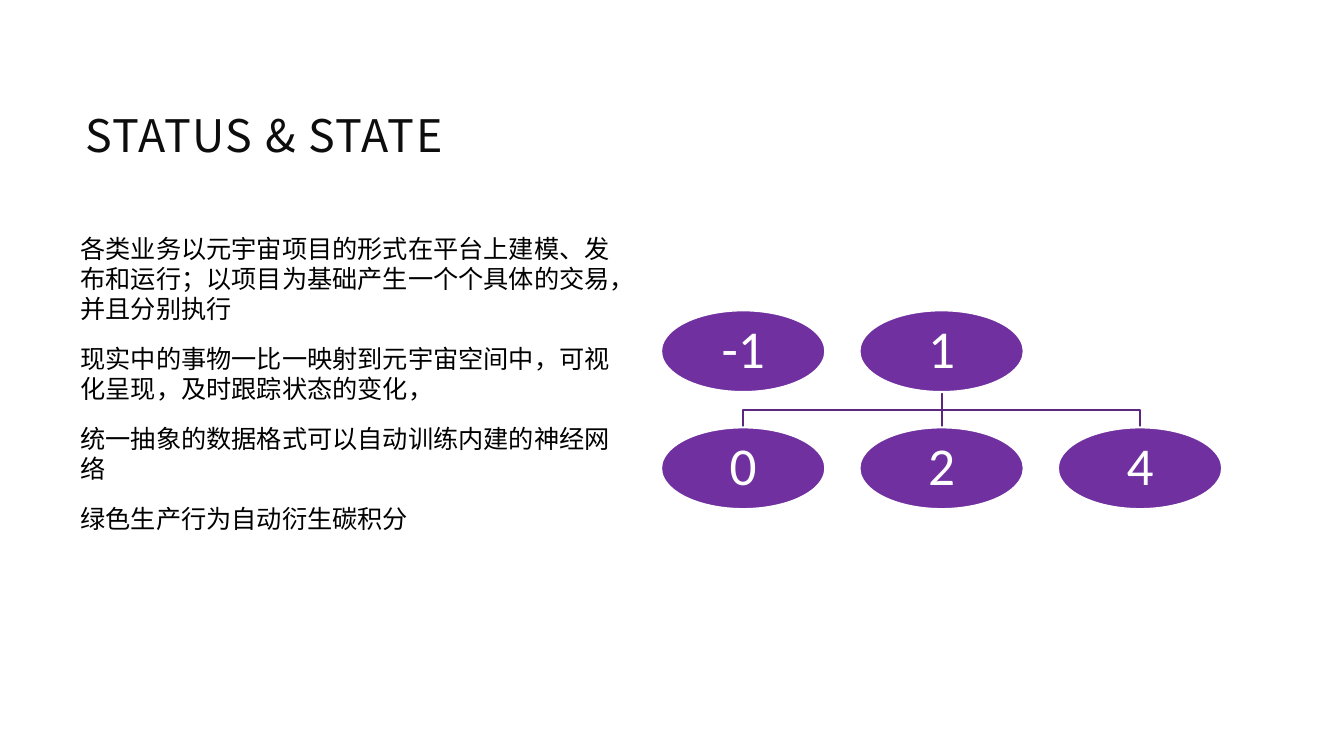
import pptx
import pptx.util
import pptx.dml.color
import pptx.enum.shapes
import pptx.enum.text
import pptx.oxml.ns
from pptx.util import Cm

BLACK = pptx.dml.color.RGBColor(0x00, 0x00, 0x00)
TITLE_GRAY = pptx.dml.color.RGBColor(0x0D, 0x0D, 0x0D)
WHITE = pptx.dml.color.RGBColor(0xFF, 0xFF, 0xFF)
PURPLE = pptx.dml.color.RGBColor(0x70, 0x30, 0xA0)
DARK_PURPLE = pptx.dml.color.RGBColor(0x5A, 0x26, 0x80)
CJK_FONT = "Noto Sans CJK SC"


def write_text(shape, text, *, size, color, font=CJK_FONT, margin=0.13, line_spacing=1.0,
               before=0, after=0, letter_spacing=0,
               align=pptx.enum.text.PP_ALIGN.LEFT, anchor=pptx.enum.text.MSO_ANCHOR.TOP):
    frame = shape.text_frame
    frame.word_wrap = True
    frame.vertical_anchor = anchor
    frame.margin_left = frame.margin_right = Cm(margin)
    frame.margin_top = frame.margin_bottom = Cm(margin)
    frame.text = text
    for paragraph in frame.paragraphs:
        paragraph.alignment = align
        paragraph.line_spacing = line_spacing
        paragraph.space_before = pptx.util.Pt(before)
        paragraph.space_after = pptx.util.Pt(after)
        run = paragraph.runs[0]
        run.font.name = font
        run.font.size = pptx.util.Pt(size)
        run.font.color.rgb = color
        properties = run.font._element
        if letter_spacing:
            properties.set("spc", str(letter_spacing * 100))
        east_asian = properties.makeelement(pptx.oxml.ns.qn("a:ea"), {"typeface": font})
        properties.find(pptx.oxml.ns.qn("a:latin")).addnext(east_asian)


presentation = pptx.Presentation()
presentation.slide_width = Cm(33.87)
presentation.slide_height = Cm(19.05)
slide = presentation.slides.add_slide(presentation.slide_layouts[6])
shapes = slide.shapes

# Title
title = shapes.add_textbox(Cm(1.9), Cm(1.9), Cm(28.88), Cm(3.23))
write_text(title, "STATUS & STATE", size=32, color=TITLE_GRAY, margin=0.25, line_spacing=0.8,
           letter_spacing=1, anchor=pptx.enum.text.MSO_ANCHOR.MIDDLE)

# Body paragraphs
body_paragraphs = [
    "各类业务以元宇宙项目的形式在平台上建模、发布和运行；以项目为基础产生一个个具体的交易，并且分别执行",
    "现实中的事物一比一映射到元宇宙空间中，可视化呈现，及时跟踪状态的变化，",
    "统一抽象的数据格式可以自动训练内建的神经网络",
    "绿色生产行为自动衍生碳积分",
]
body = shapes.add_textbox(Cm(1.9), Cm(5.74), Cm(14.15), Cm(9.2))
write_text(body, "\n".join(body_paragraphs), size=18, color=BLACK, before=12, after=2)

# State tree: grid of nodes
NODE_LEFT, NODE_TOP = 16.66, 7.82
NODE_WIDTH, NODE_HEIGHT = 4.14, 2.06
COLUMN_STEP, ROW_STEP = 5, 2.95
nodes = [("-1", 0, 0), ("1", 1, 0), ("0", 0, 1), ("2", 1, 1), ("4", 2, 1)]

# Branches from node 1 to the row below
parent_x = NODE_LEFT + COLUMN_STEP + NODE_WIDTH / 2
parent_bottom = NODE_TOP + NODE_HEIGHT
child_top = NODE_TOP + ROW_STEP
middle_y = (parent_bottom + child_top) / 2
trunk = shapes.add_connector(pptx.enum.shapes.MSO_CONNECTOR.STRAIGHT, Cm(parent_x),
                             Cm(parent_bottom), Cm(parent_x), Cm(child_top))
branches = [trunk]
for side in (1, -1):
    child_x = parent_x + side * COLUMN_STEP
    builder = shapes.build_freeform(Cm(parent_x), Cm(parent_bottom))
    builder.add_line_segments([(Cm(parent_x), Cm(middle_y)), (Cm(child_x), Cm(middle_y)),
                               (Cm(child_x), Cm(child_top))], close=False)
    elbow = builder.convert_to_shape()
    elbow.fill.background()
    elbow.shadow.inherit = False
    branches.append(elbow)
for branch in branches:
    branch.line.color.rgb = DARK_PURPLE
    branch.line.width = pptx.util.Pt(1.25)
trunk_properties = trunk._element.spPr
trunk_properties.append(trunk_properties.makeelement(pptx.oxml.ns.qn("a:effectLst"), {}))

# Nodes
for label, column, row in nodes:
    node = shapes.add_shape(pptx.enum.shapes.MSO_SHAPE.OVAL,
                            Cm(NODE_LEFT + column * COLUMN_STEP), Cm(NODE_TOP + row * ROW_STEP),
                            Cm(NODE_WIDTH), Cm(NODE_HEIGHT))
    node.shadow.inherit = False
    node.fill.solid()
    node.fill.fore_color.rgb = PURPLE
    node.line.color.rgb = WHITE
    node.line.width = pptx.util.Pt(1.5)
    write_text(node, label, size=38, color=WHITE, font="Calibri", margin=0.07, line_spacing=0.9,
               align=pptx.enum.text.PP_ALIGN.CENTER, anchor=pptx.enum.text.MSO_ANCHOR.MIDDLE)

presentation.save("out.pptx")
